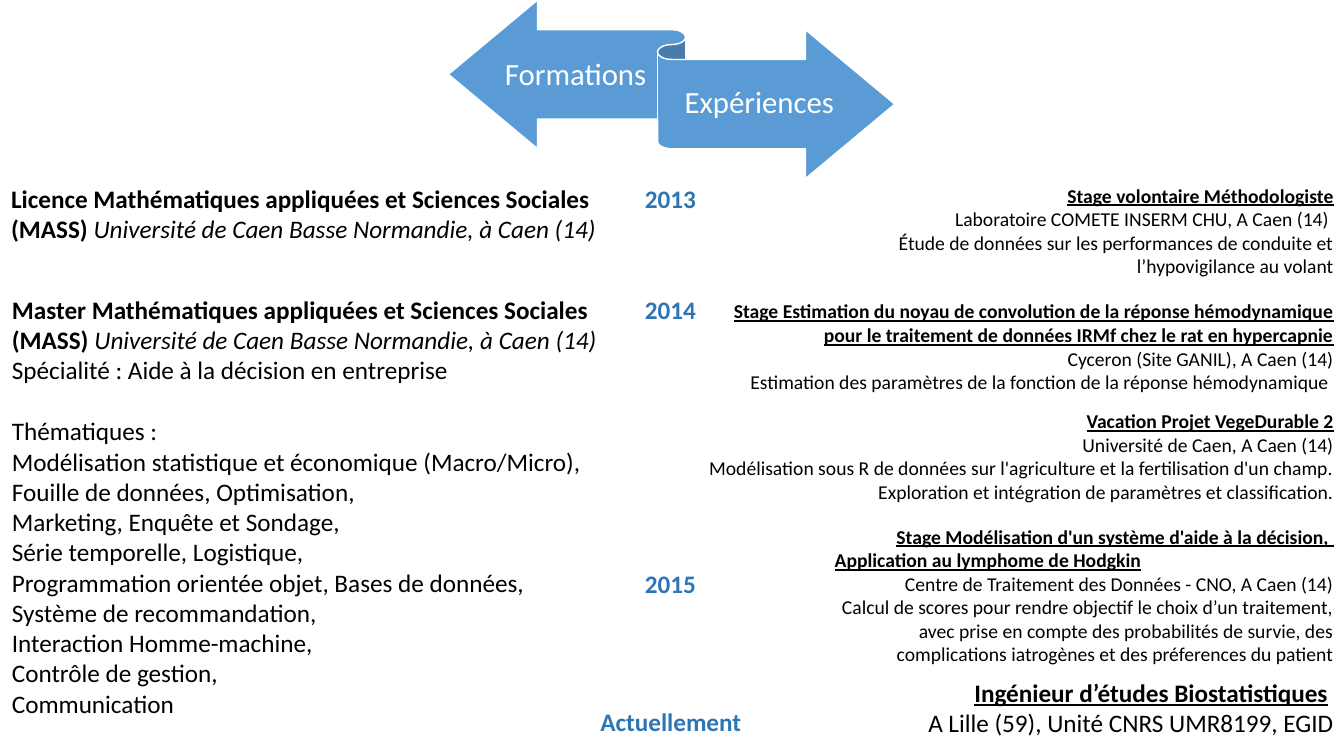
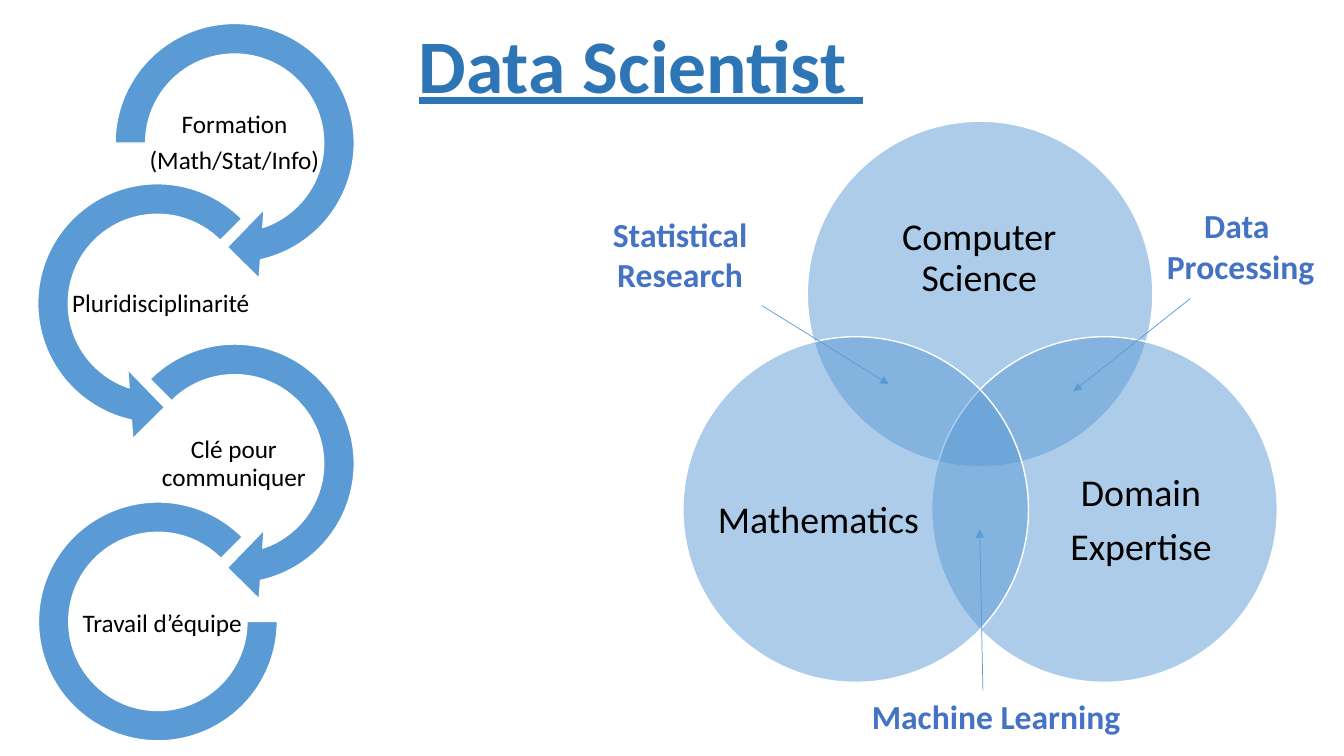
from dataclasses import dataclass
from math import cos, radians, sin

from lxml.etree import SubElement
from pptx import Presentation
from pptx.dml.color import RGBColor
from pptx.enum.shapes import MSO_CONNECTOR, MSO_SHAPE
from pptx.enum.text import MSO_ANCHOR, MSO_AUTO_SIZE, PP_ALIGN
from pptx.oxml.ns import qn
from pptx.util import Cm, Pt


@dataclass(frozen=True)
class Theme:
    font: str = "Calibri"
    black: str = "000000"
    white: str = "FFFFFF"
    blue: str = "5B9BD5"
    dark_blue: str = "2E75B6"
    label_blue: str = "4472C4"
    small: int = 14
    body: int = 18
    banner: int = 22
    label: int = 24
    circle: int = 27
    headline: int = 54


THEME = Theme()
BOLD = {"bold": True}
ITALIC = {"italic": True}
HEADING = {"bold": True, "underline": True}
RIGHT = {"alignment": PP_ALIGN.RIGHT}
CENTER = {"alignment": PP_ALIGN.CENTER}
RIGHT_EDGE = 33.86
TITLE_ONLY = 5


# Formatting helpers
def set_attributes(target, values):
    for name, value in values.items():
        setattr(target, name, value)


def write_lines(frame, lines, size, color=THEME.black, run_format=None,
                paragraph_format=None):
    """Write one paragraph per line; a line is a string or (text, format) pairs."""
    for index, line in enumerate(lines):
        paragraph = frame.paragraphs[0] if index == 0 else frame.add_paragraph()
        set_attributes(paragraph, paragraph_format or {})
        for text, extra in [(line, {})] if isinstance(line, str) else line:
            run = paragraph.add_run()
            run.text = text
            base = {"name": THEME.font, "size": Pt(size)}
            set_attributes(run.font, base | (run_format or {}) | extra)
            run.font.color.rgb = RGBColor.from_string(color)


def set_frame(frame, anchor=MSO_ANCHOR.TOP, wrap=True, inset=None):
    values = {"auto_size": MSO_AUTO_SIZE.NONE, "word_wrap": wrap,
              "vertical_anchor": anchor}
    if inset is not None:
        sides = ("left", "top", "right", "bottom")
        values |= {f"margin_{side}": Cm(inset) for side in sides}
    set_attributes(frame, values)


# Element builders
def add_text(slide, box, lines, size, anchor=MSO_ANCHOR.TOP, wrap=True,
             inset=None, **formats):
    shape = slide.shapes.add_textbox(*map(Cm, box))
    set_frame(shape.text_frame, anchor, wrap, inset)
    write_lines(shape.text_frame, lines, size, **formats)
    return shape


def add_diagram_text(slide, box, lines, size, color=THEME.black):
    spacing = {"line_spacing": 0.9, "space_after": Pt(0.35 * size)}
    add_text(slide, box, lines, size, MSO_ANCHOR.MIDDLE, inset=0, color=color,
             paragraph_format=CENTER | spacing)


def add_blue_shape(slide, kind, box, adjustments=(), alpha=None):
    shape = slide.shapes.add_shape(kind, *map(Cm, box))
    shape.shadow.inherit = False
    for index, value in enumerate(adjustments):
        shape.adjustments[index] = value
    shape.fill.solid()
    shape.fill.fore_color.rgb = RGBColor.from_string(THEME.blue)
    shape.line.color.rgb = RGBColor.from_string(THEME.white)
    shape.line.width = Pt(1)
    if alpha is not None:
        color = shape.fill._xPr.find(qn("a:solidFill"))[0]
        SubElement(color, qn("a:alpha"), val=str(alpha * 1000))


def add_arrow(slide, start, end):
    connector = slide.shapes.add_connector(
        MSO_CONNECTOR.STRAIGHT, *map(Cm, start + end))
    connector.line.color.rgb = RGBColor.from_string(THEME.blue)
    connector.line.width = Pt(0.5)
    SubElement(connector.line._get_or_add_ln(), qn("a:tailEnd"), type="triangle")
    SubElement(connector._element.spPr, qn("a:effectLst"))


def place_title(slide, box, lines, size, **formats):
    title = slide.shapes.title
    names = ("left", "top", "width", "height")
    set_attributes(title, dict(zip(names, map(Cm, box))))
    set_frame(title.text_frame, MSO_ANCHOR.MIDDLE)
    write_lines(title.text_frame, lines, size, **formats)
    return title


def add_experience(slide, top, width, headings, details):
    lines = [[(heading, HEADING)] for heading in headings] + details
    add_text(slide, (RIGHT_EDGE - width, top, width, 2.64), lines, THEME.small,
             paragraph_format=RIGHT)


def add_date(slide, left, top, width, text):
    add_text(slide, (left, top, width, 1.02), [text], THEME.body, wrap=False,
             color=THEME.dark_blue, run_format=BOLD)


# Slide 1: education and experience
def build_career(slide):
    add_blue_shape(slide, MSO_SHAPE.LEFT_RIGHT_RIBBON, (11.3, 0, 11.25, 4.5))
    for box, text in (((12.65, 0.79, 3.71, 2.21), "Formations"),
                      ((16.94, 1.5, 4.39, 2.21), "Expériences")):
        add_diagram_text(slide, box, [text], THEME.banner, THEME.white)

    # Education on the left
    university = ("Université de Caen Basse Normandie, à Caen (14)", ITALIC)
    subject = "Mathématiques appliquées et Sciences Sociales (MASS) "
    add_text(slide, (0.03, 4.5, 16.56, 1.8),
             [[("Licence " + subject, BOLD), university]], THEME.body)
    master = add_text(slide, (0.05, 7.29, 15.98, 11.02), [
        [("Master " + subject, BOLD), university],
        "Spécialité : Aide à la décision en entreprise",
        "Thématiques : ",
        "Modélisation statistique et économique (Macro/Micro), ",
        "Fouille de données, Optimisation, ",
        "Marketing, Enquête et Sondage, ",
        "Série temporelle, Logistique,",
        "Programmation orientée objet, Bases de données, ",
        "Système de recommandation, ",
        "Interaction Homme-machine, ",
        "Contrôle de gestion,",
        "Communication",
    ], THEME.body)
    master.text_frame.paragraphs[2].space_before = Pt(22)

    # Dates in the middle
    for top, year in ((4.5, "2013"), (7.29, "2014"), (14.2, "2015")):
        add_date(slide, 16, top, 1.8, year)
    add_date(slide, 14.88, 17.68, 4.09, "Actuellement")

    # Experience on the right
    add_experience(slide, 4.5, 14.02, ["Stage volontaire Méthodologiste"], [
        "Laboratoire COMETE INSERM CHU, A Caen (14) ",
        "Étude de données sur les performances de conduite et "
        "l’hypovigilance au volant",
    ])
    add_experience(slide, 7.42, 16, [
        "Stage Estimation du noyau de convolution de la réponse hémodynamique",
        "pour le traitement de données IRMf chez le rat en hypercapnie",
    ], [
        "Cyceron (Site GANIL), A Caen (14)",
        "Estimation des paramètres de la fonction de la réponse hémodynamique ",
    ])
    add_experience(slide, 10.19, 16.5, ["Vacation Projet VegeDurable 2"], [
        "Université de Caen, A Caen (14)",
        "Modélisation sous R de données sur l'agriculture et la fertilisation "
        "d'un champ. Exploration et intégration de paramètres et classification.",
    ])
    title = place_title(slide, (RIGHT_EDGE - 16, 12.98, 16, 4.04), [
        [("Stage Modélisation d'un système d'aide à la décision, ", HEADING)],
        [("Application au lymphome de Hodgkin", HEADING)],
        "Centre de Traitement des Données - CNO, A Caen (14)",
        "Calcul de scores pour rendre objectif le choix d’un traitement, avec "
        "prise en compte des probabilités de survie, des complications "
        "iatrogènes et des préferences du patient",
    ], THEME.small, paragraph_format=RIGHT)
    subtitle = title.text_frame.paragraphs[1]
    subtitle.alignment = PP_ALIGN.LEFT
    subtitle._p.get_or_add_pPr().set("marL", str(Cm(2.92)))
    add_text(slide, (RIGHT_EDGE - 11.91, 16.94, 11.91, 1.8), [
        [("Ingénieur d’études Biostatistiques", HEADING), (" ", {})],
        "A Lille (59), Unité CNRS UMR8199, EGID",
    ], THEME.body, paragraph_format=RIGHT)


# Slide 2: the data scientist
def add_steps(slide):
    size, pitch = 7.01, 4.04
    right, left = MSO_SHAPE.CIRCULAR_ARROW, MSO_SHAPE.LEFT_CIRCULAR_ARROW
    arrows = ((right, 2.41, 45, 108), (left, 0.46, 63, 189), (right, 2.41, 45, 135))
    for index, (kind, x, end, start) in enumerate(arrows):
        add_blue_shape(slide, kind, (x, 0.1 + index * pitch, size, size),
                       (0.11, 11.42, end, start, 0.125))
    add_blue_shape(slide, MSO_SHAPE.BLOCK_ARC, (0.97, 12.65, 6.02, 6.02),
                   (0, 189, 0.127))

    captions = (
        (3.61, 4.6, ["Formation", "(Math/Stat/Info)"]),
        (1.68, 4.75, ["Pluridisciplinarité"]),
        (3.94, 3.91, ["Clé pour communiquer"]),
        (1.65, 4.88, ["Travail d’équipe"]),
    )
    for index, (x, width, lines) in enumerate(captions):
        add_diagram_text(slide, (x, 2.64 + index * pitch, width, 1.96), lines,
                         THEME.body)


def add_venn(slide):
    center_x, center_y, orbit, diameter = 24.7, 11.03, 3.62, 8.71
    circles = (
        (-90, (21.49, 4.57, 6.38, 3.91), ["Computer Science"]),
        (30, (26.14, 10.74, 5.23, 4.8), ["Domain", "Expertise"]),
        (150, (18.01, 10.74, 5.23, 4.8), ["Mathematics"]),
    )
    for angle, _, _ in circles:
        x = center_x + orbit * cos(radians(angle)) - diameter / 2
        y = center_y + orbit * sin(radians(angle)) - diameter / 2
        add_blue_shape(slide, MSO_SHAPE.OVAL, (x, y, diameter, diameter), alpha=50)
    for _, box, lines in circles:
        add_diagram_text(slide, box, lines, THEME.circle)

    # Names of the overlaps, each with its arrow
    overlaps = (
        ((15.16, 5.26, 3.96, 2.31), ["Statistical", "Research"],
         (19.2, 7.7), (22.4, 9.68)),
        ((29.13, 5.05, 4.27, 2.31), ["Data ", "Processing"],
         (30, 7.52), (27.05, 9.86)),
        ((21.69, 17.42, 6.83, 1.27), ["Machine Learning"],
         (24.77, 17.4), (24.69, 13.34)),
    )
    for box, lines, start, end in overlaps:
        add_arrow(slide, start, end)
        add_text(slide, box, lines, THEME.label, wrap=False,
                 color=THEME.label_blue, run_format=BOLD, paragraph_format=CENTER)


def build_data_scientist(slide):
    place_title(slide, (8.13, 0.3, 16.05, 2.57), ["Data Scientist "],
                THEME.headline, color=THEME.dark_blue, run_format=HEADING,
                paragraph_format=CENTER)
    add_steps(slide)
    add_venn(slide)


def main():
    presentation = Presentation()
    presentation.slide_width = Cm(33.87)
    presentation.slide_height = Cm(19.05)
    layout = presentation.slide_layouts[TITLE_ONLY]
    for build in (build_career, build_data_scientist):
        build(presentation.slides.add_slide(layout))
    presentation.save("out.pptx")


if __name__ == "__main__":
    main()
